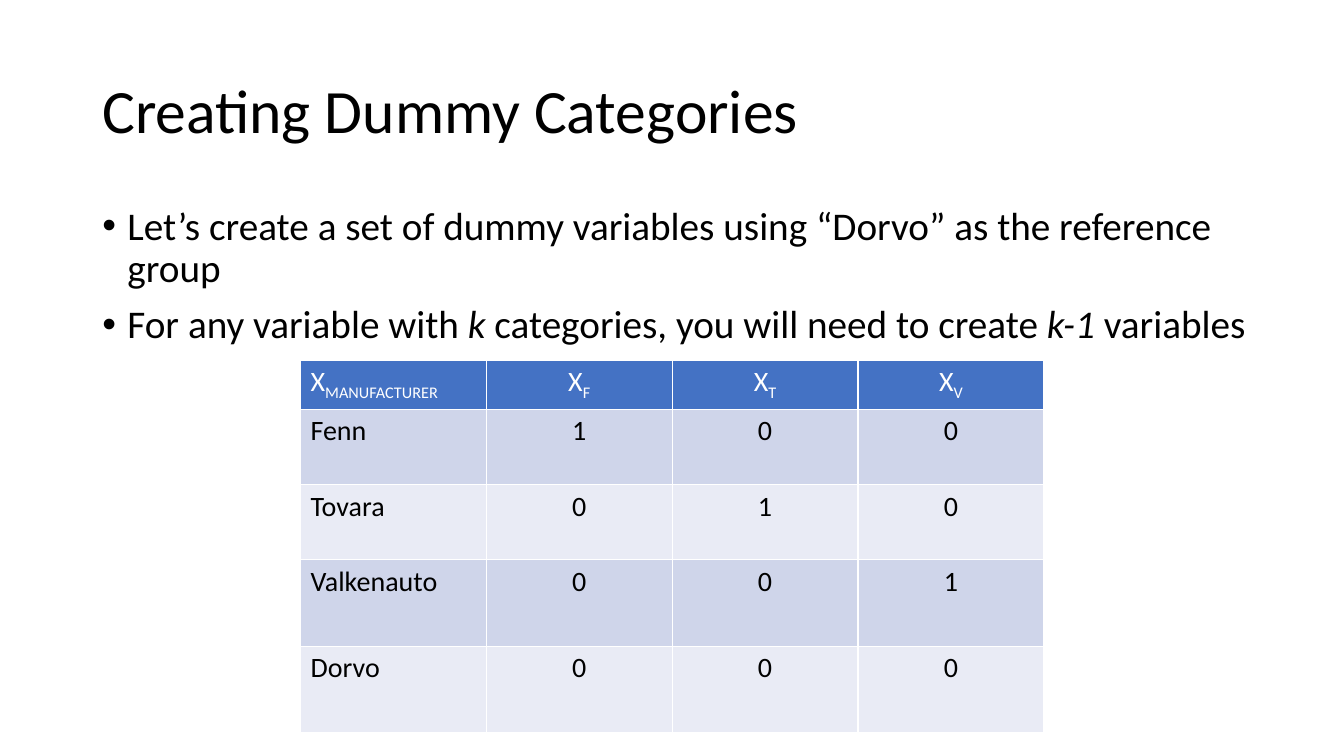
import pptx
import pptx.dml.color
import pptx.enum.text
import pptx.util
from lxml import etree
from pptx.oxml.ns import qn

Pt = pptx.util.Pt
ALIGN = pptx.enum.text.PP_ALIGN
ANCHOR = pptx.enum.text.MSO_ANCHOR

FONT = "Calibri"
BLACK, WHITE = "000000", "FFFFFF"
HEADER_FILL = "4472C4"
BAND_FILLS = ("CFD5EA", "E9EBF5")

BULLETS = [
    [("Let’s create a set of dummy variables using “Dorvo” as the reference group", False)],
    [("For any variable with ", False), ("k", True),
     (" categories, you will need to create ", False), ("k-1", True),
     (" variables", False)],
]
HEADER_SUBSCRIPTS = ["MANUFACTURER", "F", "T", "V"]
MANUFACTURERS = ["Fenn", "Tovara", "Valkenauto", "Dorvo"]
ROW_HEIGHTS = [35, 54, 53.3, 62, 62]
COLUMN_WIDTH = 132.75


def color(hex_string):
    return pptx.dml.color.RGBColor.from_string(hex_string)


def format_run(run, size, hex_string, italic=False):
    run.font.name = FONT
    run.font.size = Pt(size)
    run.font.italic = italic
    run.font.color.rgb = color(hex_string)


def add_text_area(slide, left, top, width, height, anchor):
    frame = slide.shapes.add_textbox(Pt(left), Pt(top), Pt(width), Pt(height)).text_frame
    frame.word_wrap = True
    frame.vertical_anchor = anchor
    return frame


def add_title(slide, title):
    frame = add_text_area(slide, 66, 28.75, 828, 104.4, ANCHOR.MIDDLE)
    frame.text = title
    frame.paragraphs[0].line_spacing = 0.9
    format_run(frame.paragraphs[0].runs[0], 44, BLACK)


def set_bullet(paragraph, indent):
    properties = paragraph._p.get_or_add_pPr()
    properties.set("marL", str(Pt(indent)))
    properties.set("indent", str(-Pt(indent)))
    etree.SubElement(properties, qn("a:buFont"), typeface="Arial")
    etree.SubElement(properties, qn("a:buChar"), char="•")


def add_bullets(slide, bullets):
    frame = add_text_area(slide, 66, 143.75, 868.3, 342.6, ANCHOR.TOP)
    for index, pieces in enumerate(bullets):
        bullet = frame.add_paragraph() if index else frame.paragraphs[0]
        bullet.line_spacing = 0.9
        bullet.space_before = Pt(10)
        set_bullet(bullet, 18)
        for wording, italic in pieces:
            run = bullet.add_run()
            run.text = wording
            format_run(run, 28, BLACK, italic)


def set_borders(cell, hex_string, width):
    properties = cell._tc.get_or_add_tcPr()
    for side in ("lnL", "lnR", "lnT", "lnB"):
        border = etree.SubElement(properties, qn(f"a:{side}"), w=str(Pt(width)))
        fill = etree.SubElement(border, qn("a:solidFill"))
        etree.SubElement(fill, qn("a:srgbClr"), val=hex_string)


def fill_cell(cell, wording, text_color, cell_fill, centered, subscript=None):
    set_borders(cell, WHITE, 1)
    cell.fill.solid()
    cell.fill.fore_color.rgb = color(cell_fill)
    cell.text_frame.text = wording
    paragraph = cell.text_frame.paragraphs[0]
    paragraph.alignment = ALIGN.CENTER if centered else ALIGN.LEFT
    if subscript:
        paragraph.add_run().text = subscript
    for run in paragraph.runs:
        format_run(run, 20, text_color)
    if subscript:
        paragraph.runs[-1].font._element.set("baseline", "-25000")


def add_dummy_table(slide):
    columns = len(HEADER_SUBSCRIPTS)
    table = slide.shapes.add_table(
        len(ROW_HEIGHTS), columns, Pt(214.6), Pt(257.3),
        Pt(COLUMN_WIDTH * columns), Pt(sum(ROW_HEIGHTS))).table
    for column in table.columns:
        column.width = Pt(COLUMN_WIDTH)
    for row, height in zip(table.rows, ROW_HEIGHTS):
        row.height = Pt(height)

    # Header row: X with a subscript
    for column, subscript in enumerate(HEADER_SUBSCRIPTS):
        fill_cell(table.cell(0, column), "X", WHITE, HEADER_FILL, column > 0, subscript)

    # Each manufacturer has a 1 in its own column; the reference group has none
    for row, manufacturer in enumerate(MANUFACTURERS, start=1):
        codes = [str(int(column == row)) for column in range(1, columns)]
        for column, wording in enumerate([manufacturer] + codes):
            fill_cell(table.cell(row, column), wording, BLACK,
                      BAND_FILLS[(row - 1) % 2], column > 0)


def main():
    presentation = pptx.Presentation()
    presentation.slide_width = Pt(960)
    presentation.slide_height = Pt(540)
    slide = presentation.slides.add_slide(presentation.slide_layouts[6])
    add_title(slide, "Creating Dummy Categories")
    add_bullets(slide, BULLETS)
    add_dummy_table(slide)
    presentation.save("out.pptx")


if __name__ == "__main__":
    main()
